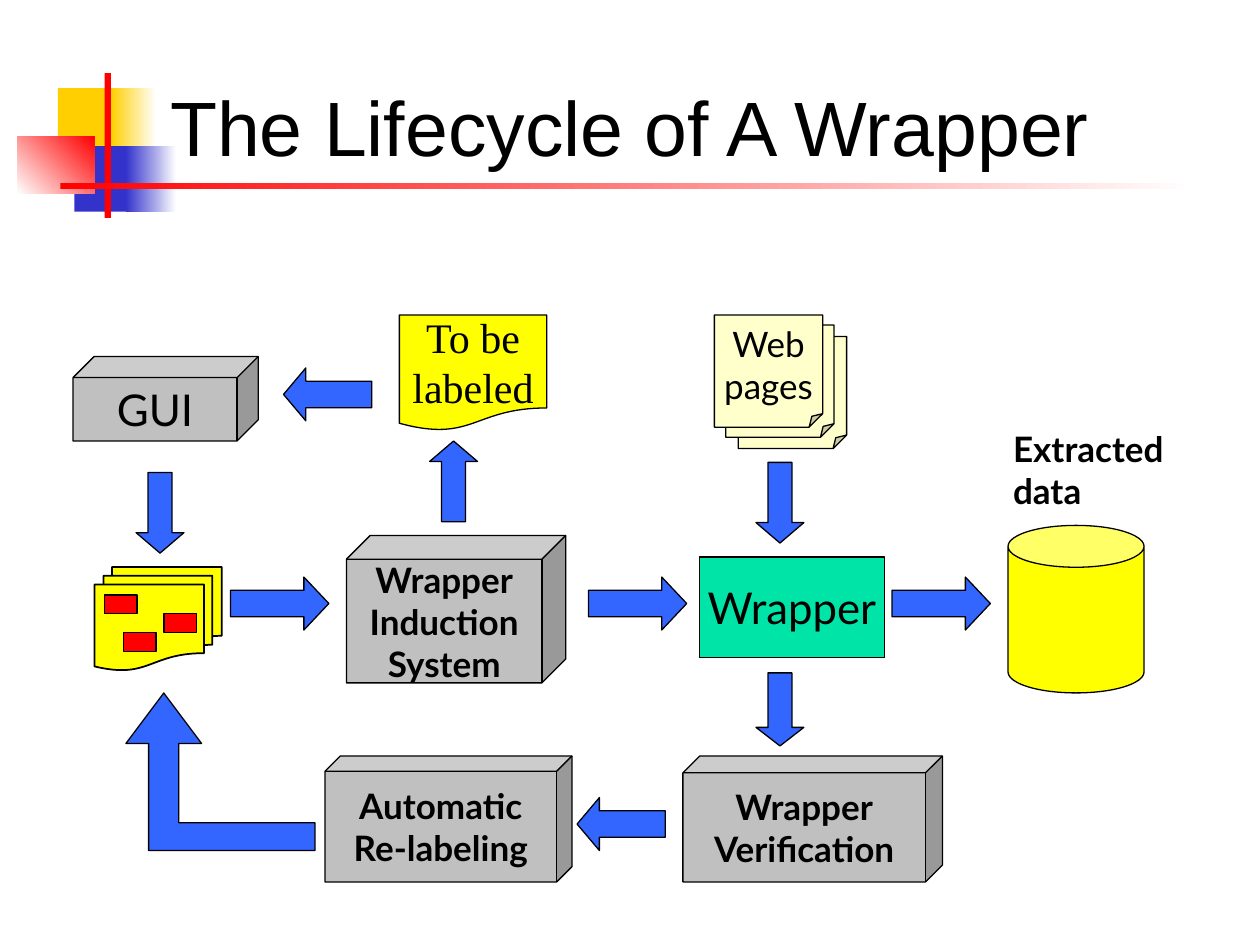
"""Build the wrapper lifecycle slide."""
from pptx import Presentation
from pptx.dml.color import RGBColor
from pptx.enum.shapes import MSO_SHAPE
from pptx.enum.text import MSO_ANCHOR, PP_ALIGN
from pptx.util import Inches, Pt

RECT, CUBE, CAN = MSO_SHAPE.RECTANGLE, MSO_SHAPE.CUBE, MSO_SHAPE.CAN
FOLDED, ARROW = MSO_SHAPE.FOLDED_CORNER, MSO_SHAPE.RIGHT_ARROW
DOCUMENT, DOCUMENTS = MSO_SHAPE.FLOWCHART_DOCUMENT, MSO_SHAPE.FLOWCHART_MULTIDOCUMENT
TOP, MIDDLE = MSO_ANCHOR.TOP, MSO_ANCHOR.MIDDLE
LEFT, CENTER = PP_ALIGN.LEFT, PP_ALIGN.CENTER

THEME = {
    "black": "000000", "white": "FFFFFF", "gold": "FFCF01", "navy": "3333CC",
    "red": "FF0000", "yellow": "FFFF00", "cream": "FFFFCC", "blue": "3366FF",
    "green": "00E4A8", "gray": "C0C0C0",
    "title": ("Arial", 44, False), "large": ("Lato", 25, False),
    "label": ("Lato", 20, False), "strong": ("Lato", 20, True),
    "serif": ("Times New Roman", 24, False),
    "line": 0.75, "heavy line": 1,
}
LABEL_INSETS, DEFAULT_INSETS = (0.12, 0.06), (0.1, 0.05)

TITLE = ("The Lifecycle of A Wrapper", (0.75, 0.58, 8.5, 0.83))
DATA_LABEL = ("Extracted\ndata", (7.92, 3.33, 1.59, 0.79))

ORNAMENTS = [
    ((0.46, 0.7, 0.48, 0.52), ["gold"], 0),
    ((0.88, 0.7, 0.36, 0.52), ["gold", "white"], 0),
    ((0.59, 1.16, 0.46, 0.52), ["navy"], 0),
    ((1, 1.16, 0.4, 0.52), ["navy", "white"], 0),
    ((0.14, 1.08, 0.61, 0.46), ["white", "red"], 45),
    ((0.83, 0.58, 0.05, 1.15), ["red"], 0),
    ((0.48, 1.45, 9, 0.05), ["red", "white"], 0),
]

NODES = [
    (CAN, (8, 4.17, 1.08, 1.33), "yellow", 0.308, "", None),
    (FOLDED, (5.86, 2.67, 0.86, 0.89), "cream", 0.125, "", None),
    (FOLDED, (5.76, 2.58, 0.86, 0.89), "cream", 0.125, "", None),
    (FOLDED, (5.67, 2.5, 0.86, 0.89), "cream", 0.125, "Web\npages", "label"),
    (RECT, (5.55, 4.42, 1.47, 0.8), "green", None, "Wrapper", "large"),
    (CUBE, (2.75, 4.25, 1.74, 1.17), "gray", 0.161, "Wrapper\nInduction\nSystem", "strong"),
    (CUBE, (0.58, 2.83, 1.47, 0.67), "gray", 0.25, "GUI", "large"),
    (CUBE, (5.42, 6, 2.06, 1), "gray", 0.134, "Wrapper\nVerification", "strong"),
    (CUBE, (2.58, 6, 1.96, 1), "gray", 0.121, "Automatic\nRe-labeling", "strong"),
    (DOCUMENT, (3.17, 2.5, 1.17, 0.92), "yellow", None, "To be\nlabeled", "serif"),
]

LABELED_PAGES = (0.75, 4.5, 1.01, 0.82)
LABEL_MARKS = [(1.3, 4.87), (0.83, 4.72), (0.98, 5.02)]
MARK_SIZE = (0.26, 0.15)

RIGHT, DOWN, BACK, UP = 0, 90, 180, 270
ARROWS = [
    (6.19, 3.99, 0.64, 0.38, DOWN, 0.426),
    (7.47, 4.79, 0.78, 0.42, RIGHT, 0.471),
    (2.22, 4.79, 0.78, 0.42, RIGHT, 0.471),
    (5.06, 4.79, 0.78, 0.42, RIGHT, 0.471),
    (1.27, 4.07, 0.64, 0.38, DOWN, 0.426),
    (4.93, 6.54, 0.7, 0.42, BACK, 0.421),
    (6.19, 5.63, 0.58, 0.38, DOWN, 0.387),
    (3.6, 3.82, 0.64, 0.38, UP, 0.426),
    (2.6, 3.13, 0.7, 0.42, BACK, 0.421),
]
RETURN_ARROW = [(1.3, 5.5), (1.6, 5.9), (1.42, 5.9), (1.42, 6.53), (2.5, 6.53),
                (2.5, 6.75), (1.18, 6.75), (1.18, 5.9), (1, 5.9)]


def color(name):
    """Return a theme colour."""
    return RGBColor.from_string(THEME[name])


def paint(shape, fill, line=None):
    """Give a shape a plain fill and an optional black outline."""
    shape.shadow.inherit = False
    shape.fill.solid()
    shape.fill.fore_color.rgb = color(fill)
    if line:
        shape.line.color.rgb = color("black")
        shape.line.width = Pt(THEME[line])
    else:
        shape.line.fill.background()


def add_shape(page, kind, place, fill, line=None):
    """Add a painted preset shape."""
    shape = page.shapes.add_shape(kind, *map(Inches, place))
    paint(shape, fill, line)
    return shape


def adjust(shape, **guides):
    """Set the named shape guides as fractions."""
    geometry = shape.element.spPr.prstGeom
    geometry.rewrite_guides([(name, round(value * 100000)) for name, value in guides.items()])


def write(shape, text, style, align=CENTER, anchor=MIDDLE, insets=LABEL_INSETS, wrap=False):
    """Write one paragraph per line of text in a theme style."""
    frame = shape.text_frame
    frame.text = text
    frame.word_wrap = wrap
    frame.vertical_anchor = anchor
    frame.margin_left = frame.margin_right = Inches(insets[0])
    frame.margin_top = frame.margin_bottom = Inches(insets[1])
    for paragraph in frame.paragraphs:
        paragraph.alignment = align
        font = paragraph.font
        font.name, size, font.bold = THEME[style]
        font.size = Pt(size)
        font.color.rgb = color("black")


def add_ornament(page, place, colors, angle):
    """Add a solid or fading title ornament."""
    shape = add_shape(page, RECT, place, colors[0])
    if len(colors) > 1:
        shape.fill.gradient()
        shape.fill.gradient_angle = angle
        for stop, name in zip(shape.fill.gradient_stops, colors):
            stop.color.rgb = color(name)


def add_node(page, kind, place, fill, adjustment, text, style):
    """Add one lifecycle stage."""
    shape = add_shape(page, kind, place, fill, "line")
    if adjustment is not None:
        adjust(shape, adj=adjustment)
    if text:
        insets = DEFAULT_INSETS if kind == DOCUMENT else LABEL_INSETS
        write(shape, text, style, insets=insets)


def add_arrow(page, x, y, length, width, direction, head):
    """Add a block arrow around its centre."""
    place = (x - length / 2, y - width / 2, length, width)
    shape = add_shape(page, ARROW, place, "blue", "line")
    adjust(shape, adj1=0.5, adj2=head)
    shape.rotation = direction


def main():
    """Build and save the deck."""
    deck = Presentation()
    deck.slide_width, deck.slide_height = Inches(10), Inches(7.5)
    page = deck.slides.add_slide(deck.slide_layouts[6])

    for ornament in ORNAMENTS:
        add_ornament(page, *ornament)
    for node in NODES:
        add_node(page, *node)
    add_shape(page, DOCUMENTS, LABELED_PAGES, "yellow", "heavy line")
    for corner in LABEL_MARKS:
        add_shape(page, RECT, corner + MARK_SIZE, "red", "heavy line")
    for arrow in ARROWS:
        add_arrow(page, *arrow)

    points = [(Inches(x), Inches(y)) for x, y in RETURN_ARROW]
    builder = page.shapes.build_freeform(*points[0])
    builder.add_line_segments(points[1:], close=True)
    paint(builder.convert_to_shape(), "blue", "line")

    text, place = DATA_LABEL
    write(page.shapes.add_textbox(*map(Inches, place)), text, "strong", LEFT, TOP)
    text, place = TITLE
    write(page.shapes.add_textbox(*map(Inches, place)), text, "title",
          insets=DEFAULT_INSETS, wrap=True)
    deck.save("out.pptx")


if __name__ == "__main__":
    main()
